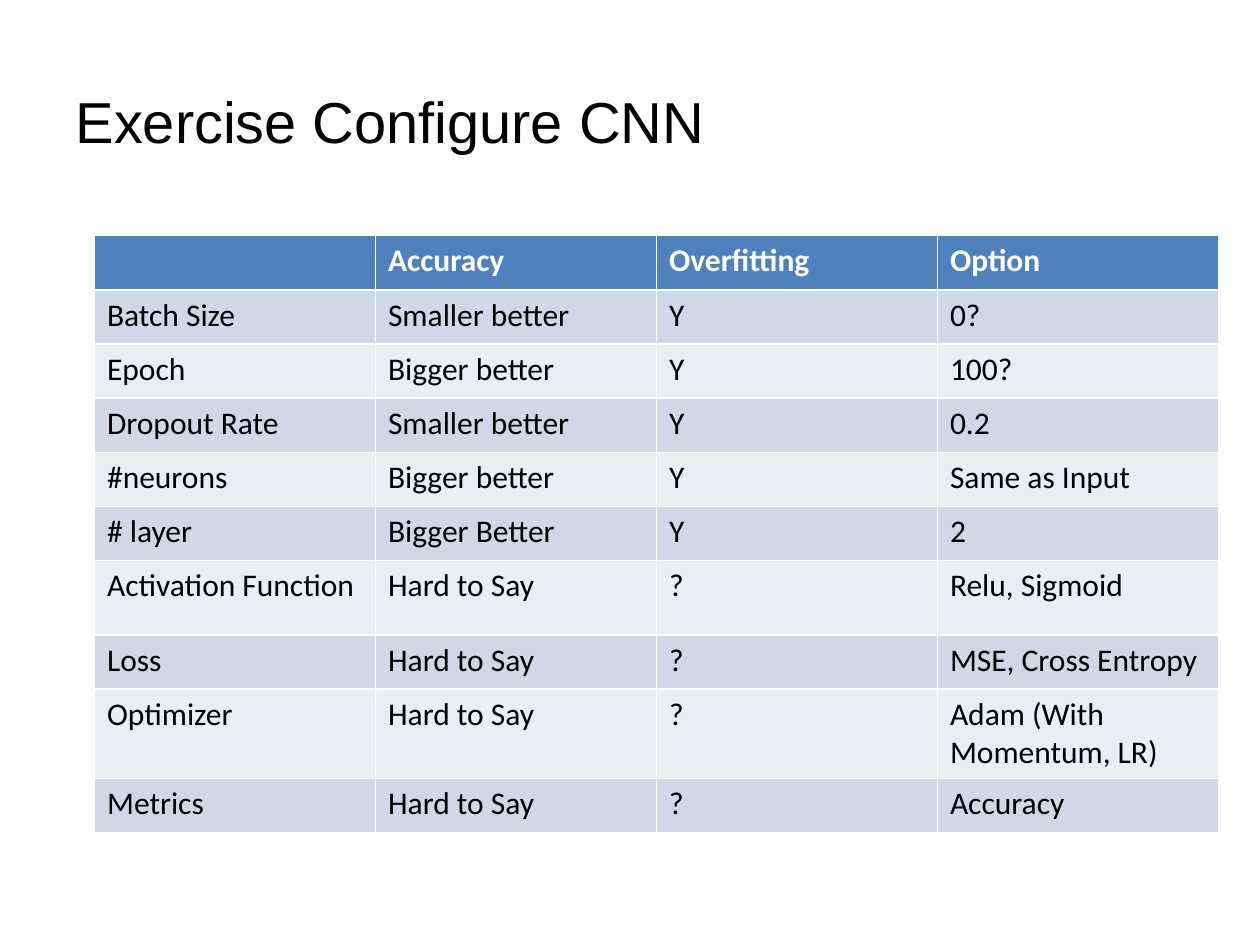
from pptx import Presentation
from pptx.dml.color import RGBColor
from pptx.enum.text import MSO_ANCHOR, PP_ALIGN
from pptx.util import Inches, Pt

COLORS = {
    "black": "000000",
    "white": "FFFFFF",
    "header": "4F81BD",
    "odd": "D0D8E8",
    "even": "E9EDF4",
}
SETTINGS = [
    ("", "Accuracy", "Overfitting", "Option"),
    ("Batch Size", "Smaller better", "Y", "0?"),
    ("Epoch", "Bigger better", "Y", "100?"),
    ("Dropout Rate", "Smaller better", "Y", "0.2"),
    ("#neurons", "Bigger better", "Y", "Same as Input"),
    ("# layer", "Bigger Better", "Y", "2"),
    ("Activation Function", "Hard to Say", "?", "Relu, Sigmoid"),
    ("Loss", "Hard to Say", "?", "MSE, Cross Entropy"),
    ("Optimizer", "Hard to Say", "?", "Adam (With Momentum, LR)"),
    ("Metrics", "Hard to Say", "?", "Accuracy"),
]


def style_font(paragraph, name, size, color, bold=False):
    font = paragraph.font
    font.name = name
    font.size = Pt(size)
    font.bold = bold
    font.color.rgb = RGBColor.from_string(COLORS[color])


prs = Presentation()
prs.slide_width, prs.slide_height = Inches(10), Inches(7.5)
slide = prs.slides.add_slide(prs.slide_layouts[5])

heading = slide.shapes.title
heading.left, heading.top = Inches(0.5), Inches(0.33)
heading.width, heading.height = Inches(9), Inches(1.25)
heading.text_frame.text = "Exercise Configure CNN"
heading.text_frame.vertical_anchor = MSO_ANCHOR.MIDDLE
heading.text_frame.paragraphs[0].alignment = PP_ALIGN.LEFT
style_font(heading.text_frame.paragraphs[0], "Arial", 33, "black")

settings = slide.shapes.add_table(
    len(SETTINGS), len(SETTINGS[0]),
    Inches(0.75), Inches(1.87), Inches(8.92), Inches(4.62),
).table

for row_index, values in enumerate(SETTINGS):
    is_header = row_index == 0
    is_activation = values[0] == "Activation Function"
    settings.rows[row_index].height = Inches(0.59 if is_activation else 0.43)
    band = "header" if is_header else "odd" if row_index % 2 else "even"
    for column_index, value in enumerate(values):
        cell = settings.cell(row_index, column_index)
        cell.text = value
        cell.fill.solid()
        cell.fill.fore_color.rgb = RGBColor.from_string(COLORS[band])
        style_font(cell.text_frame.paragraphs[0], "Calibri", 18,
                   "white" if is_header else "black", is_header)

prs.save("out.pptx")
